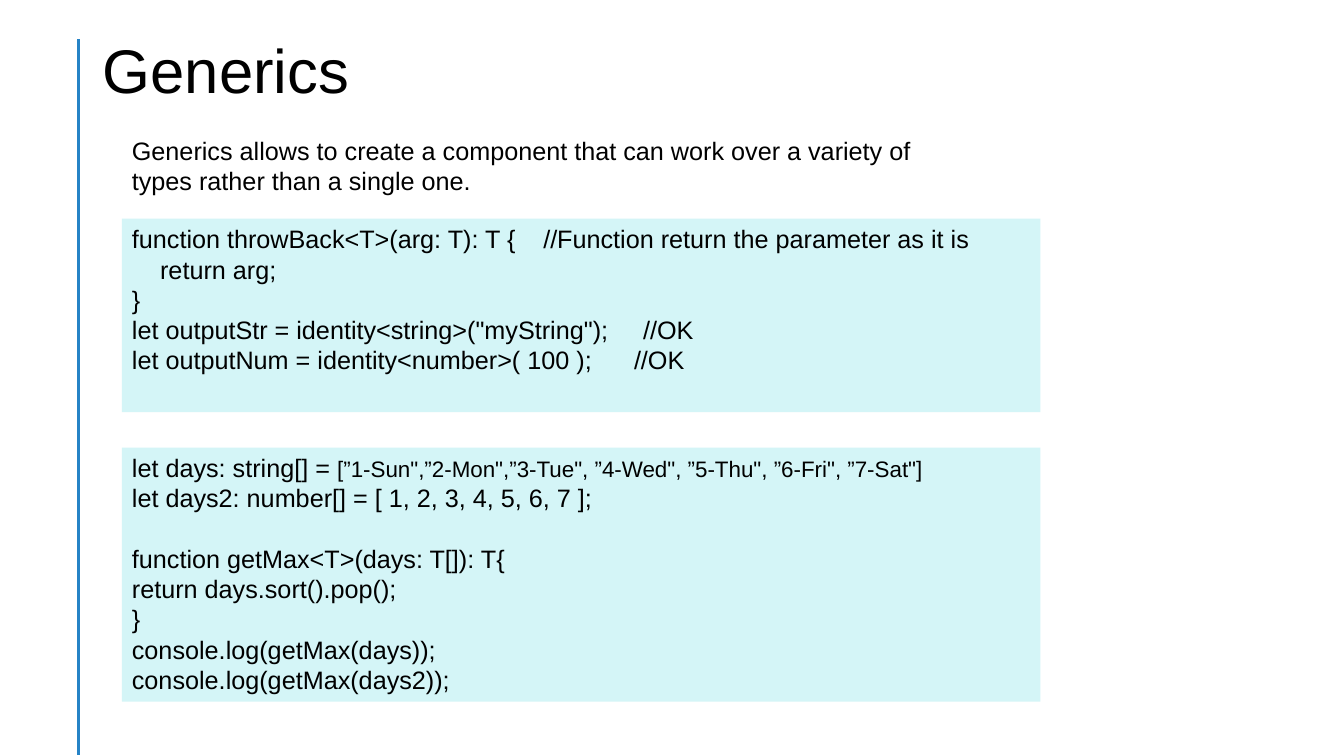
from lxml import etree
from pptx import Presentation
from pptx.dml.color import RGBColor
from pptx.enum.shapes import MSO_CONNECTOR as CONNECTOR, MSO_SHAPE as SHAPE
from pptx.enum.text import MSO_ANCHOR as ANCHOR
from pptx.oxml.ns import qn
from pptx.util import Emu, Pt

PX = 9144  # EMU per px, 100 px to the inch
LEFT, CODE_WIDTH = 121, 911


def color(value):
    return RGBColor.from_string(value)


def write_lines(shape, lines, size=18):
    """Each line is a list of (text, size) runs or one plain string."""
    text_frame = shape.text_frame
    text_frame.word_wrap = True
    for number, line in enumerate(lines):
        paragraph = text_frame.paragraphs[0] if number == 0 else text_frame.add_paragraph()
        parts = [(line, size)] if isinstance(line, str) else line
        for text, part_size in parts:
            run = paragraph.add_run()
            run.text = text
            run.font.name = "Arial"
            run.font.size = Pt(part_size)
            run.font.color.rgb = color("000000")
    return text_frame


presentation = Presentation()
presentation.slide_width = Emu(1333 * PX)
presentation.slide_height = Emu(750 * PX)
slide = presentation.slides.add_slide(presentation.slide_layouts[6])
shapes = slide.shapes

# Vertical rule beside the title
rule = shapes.add_connector(CONNECTOR.STRAIGHT, *[Emu(n * PX) for n in (78, 39, 78, 749)])
rule.line.color.rgb = color("2683C6")
rule.line.width = Pt(2)
etree.SubElement(rule._element.spPr, qn("a:effectLst"))

# Title
title = shapes.add_textbox(*[Emu(n * PX) for n in (92, 0, 1150, 145)])
title_frame = write_lines(title, ["Generics"], 44)
title_frame.vertical_anchor = ANCHOR.MIDDLE
title_frame.paragraphs[0].line_spacing = 0.9

# Introduction
introduction = shapes.add_textbox(*[Emu(n * PX) for n in (LEFT, 129, 849, 71)])
write_lines(introduction, [
    "Generics allows to create a component that can work over a variety of "
    "types rather than a single one.",
])

# Code panels
generic_function = [
    "function throwBack<T>(arg: T): T {\t//Function return the parameter as it is",
    "return arg;",
    "}",
    'let outputStr = identity<string>("myString");\t//OK',
    "let outputNum = identity<number>( 100 );\t//OK",
]
generic_array = [
    [("let days: string[] = ", 18),
     ('[”1-Sun",”2-Mon",”3-Tue", ”4-Wed", ”5-Thu", ”6-Fri", ”7-Sat"]', 16)],
    "let days2: number[] = [ 1, 2, 3, 4, 5, 6, 7 ];",
    "function getMax<T>(days: T[]): T{",
    "return days.sort().pop();",
    "}",
    "console.log(getMax(days));",
    "console.log(getMax(days2));",
]
code_frames = []
for top, height, lines in [(217, 192, generic_function), (444, 252, generic_array)]:
    panel = shapes.add_shape(SHAPE.RECTANGLE, *[Emu(n * PX) for n in (LEFT, top, CODE_WIDTH, height)])
    panel.shadow.inherit = False
    panel.fill.solid()
    panel.fill.fore_color.rgb = color("D4F5F7")
    panel.line.fill.background()
    text_frame = write_lines(panel, lines)
    text_frame.vertical_anchor = ANCHOR.TOP
    for paragraph in text_frame.paragraphs:
        paragraph._p.get_or_add_pPr().set("algn", "l")
    code_frames.append(text_frame)
function_frame, array_frame = code_frames

# Indented body, and a tab stop for each trailing comment
function_frame.paragraphs[1]._p.get_or_add_pPr().set("marL", str(28 * PX))
for number, position in [(0, 408), (3, 507), (4, 498)]:
    properties = function_frame.paragraphs[number]._p.get_or_add_pPr()
    tabs = etree.SubElement(properties, qn("a:tabLst"))
    etree.SubElement(tabs, qn("a:tab"), pos=str(position * PX), algn="l")

# One line of space above the second function
array_frame.paragraphs[2].space_before = Pt(21.6)

presentation.save("out.pptx")
